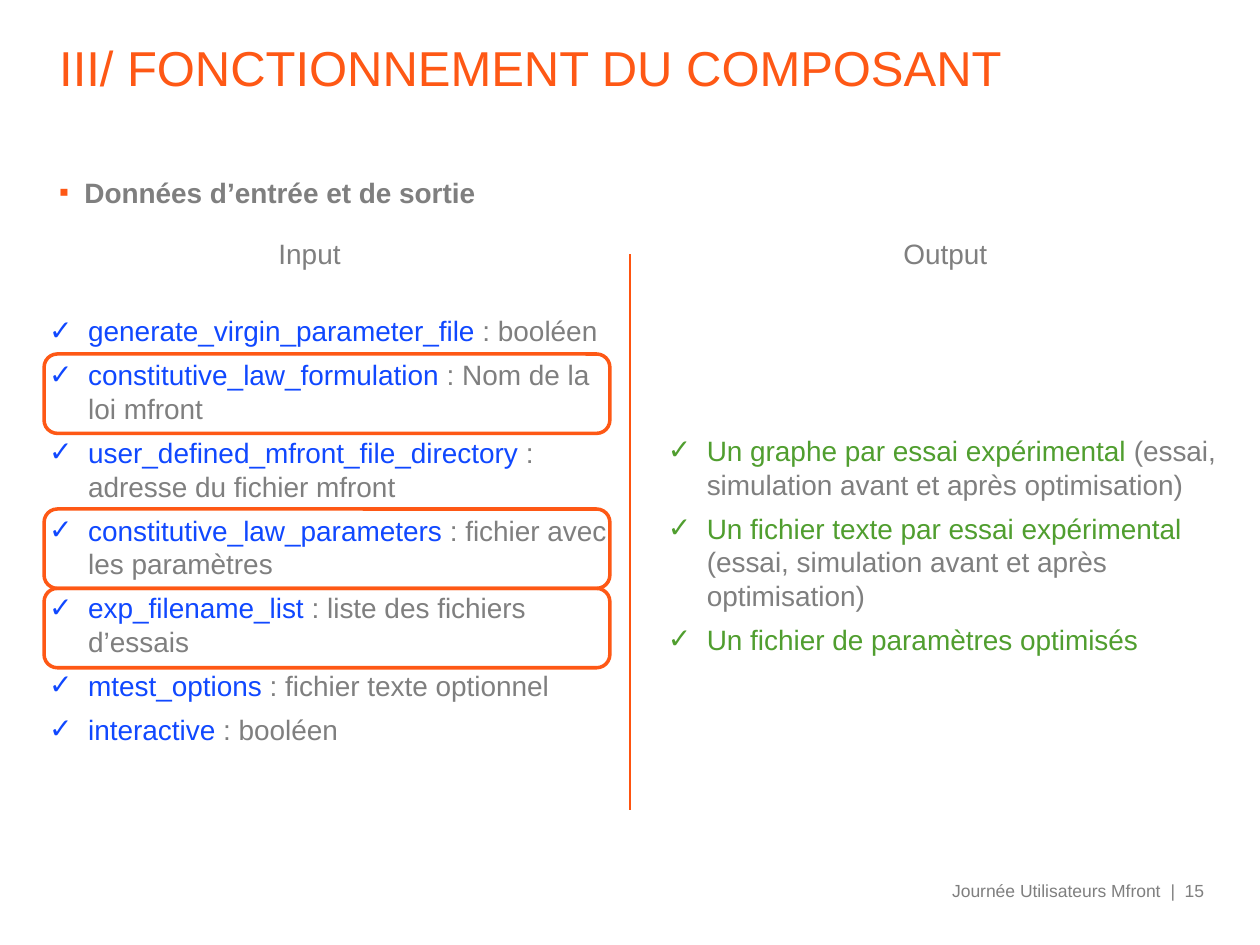
from dataclasses import dataclass

from lxml.etree import SubElement
from pptx import Presentation
from pptx.dml.color import RGBColor
from pptx.enum.shapes import MSO_CONNECTOR as Connector, MSO_SHAPE as Shape
from pptx.enum.text import MSO_ANCHOR as Anchor, MSO_AUTO_SIZE as AutoSize, PP_ALIGN as Align
from pptx.oxml.ns import qn
from pptx.util import Inches, Pt

COLORS = {
    "orange": "FE5815",
    "divider": "FE540F",
    "grey": "7F7F7F",
    "blue": "1048FF",
    "green": "509E2F",
}
FONT = "Arial"


@dataclass
class Box:
    left: float
    top: float
    width: float
    height: float

    def lengths(self) -> list:
        return [Inches(v) for v in (self.left, self.top, self.width, self.height)]


@dataclass
class Item:
    name: str
    detail: str = ""


@dataclass
class Label:
    text: str
    box: Box
    size: int = 16
    align: Align = Align.LEFT
    anchor: Anchor = Anchor.TOP


INPUTS = [
    Item("generate_virgin_parameter_file", " : booléen"),
    Item("constitutive_law_formulation", " : Nom de la loi mfront"),
    Item("user_defined_mfront_file_directory", " : adresse du fichier mfront"),
    Item("constitutive_law_parameters", " : fichier avec les paramètres"),
    Item("exp_filename_list ", ": liste des fichiers d’essais"),
    Item("mtest_options", " : fichier texte optionnel"),
    Item("interactive", " : booléen"),
]
OUTPUTS = [
    Item("Un graphe par essai expérimental ",
         "(essai, simulation avant et après optimisation)"),
    Item("Un fichier texte par essai expérimental ",
         "(essai, simulation avant et après optimisation)"),
    Item("Un fichier de paramètres optimisés"),
]
LABELS = [
    Label("Input", Box(2.17, 1.88, 0.58, 0.27)),
    Label("Output", Box(7.13, 1.88, 0.75, 0.27)),
    Label("Journée Utilisateurs Mfront", Box(5, 6.98, 4.25, 0.17), 10,
          Align.RIGHT, Anchor.MIDDLE),
    Label("|  15", Box(9.25, 6.98, 0.41, 0.17), 10, anchor=Anchor.MIDDLE),
]
HIGHLIGHT_TOPS = (2.81, 4.04, 4.67)


def rgb(color: str) -> RGBColor:
    return RGBColor.from_string(COLORS[color])


def set_frame(shape, wrap: bool = True, anchor: Anchor = Anchor.TOP):
    frame = shape.text_frame
    frame.auto_size = AutoSize.NONE
    frame.word_wrap = wrap
    frame.vertical_anchor = anchor
    frame.margin_left = frame.margin_right = Inches(0.04)
    frame.margin_top = frame.margin_bottom = 0
    return frame


def add_run(paragraph, text: str, color: str, size: int = 16, bold: bool = False) -> None:
    run = paragraph.add_run()
    run.text = text
    run.font.name = FONT
    run.font.size = Pt(size)
    run.font.bold = bold
    run.font.color.rgb = rgb(color)


def set_bullet(paragraph, char: str, color: str, indent: float) -> None:
    props = paragraph._p.get_or_add_pPr()
    props.set("marL", str(Inches(indent)))
    props.set("indent", str(-Inches(indent)))
    bullet_color = SubElement(props, qn("a:buClr"))
    SubElement(bullet_color, qn("a:srgbClr"), val=COLORS[color])
    SubElement(props, qn("a:buFont"), typeface=FONT)
    SubElement(props, qn("a:buChar"), char=char)


def add_label(slide, label: Label) -> None:
    frame = set_frame(slide.shapes.add_textbox(*label.box.lengths()), False, label.anchor)
    paragraph = frame.paragraphs[0]
    paragraph.alignment = label.align
    add_run(paragraph, label.text, "grey", label.size)


def add_checklist(slide, box: Box, items: list[Item], color: str) -> None:
    frame = set_frame(slide.shapes.add_textbox(*box.lengths()))
    for index, item in enumerate(items):
        paragraph = frame.add_paragraph() if index else frame.paragraphs[0]
        paragraph.space_after = Pt(6)
        set_bullet(paragraph, "✓", color, 0.31)
        add_run(paragraph, item.name, color)
        if item.detail:
            add_run(paragraph, item.detail, "grey")


def add_highlight(slide, top: float) -> None:
    outline = slide.shapes.add_shape(Shape.ROUNDED_RECTANGLE,
                                     *Box(0.35, top, 4.49, 0.63).lengths())
    outline.shadow.inherit = False
    outline.fill.background()
    outline.line.color.rgb = rgb("orange")
    outline.line.width = Pt(2)


def main() -> None:
    deck = Presentation()
    deck.slide_width, deck.slide_height = Inches(10), Inches(7.5)
    slide = deck.slides.add_slide(deck.slide_layouts[5])

    # Title
    title = slide.shapes.title
    title.left, title.top, title.width, title.height = Box(0.43, 0.3, 9.14, 0.93).lengths()
    heading = set_frame(title).paragraphs[0]
    heading.alignment = Align.LEFT
    add_run(heading, "III/ FONCTIONNEMENT DU COMPOSANT", "orange", 28)

    # Section heading
    section_box = slide.shapes.add_textbox(*Box(0.43, 1.39, 9.29, 0.3).lengths())
    section = set_frame(section_box).paragraphs[0]
    set_bullet(section, "▪", "orange", 0.2)
    add_run(section, "Données d’entrée et de sortie", "grey", bold=True)

    # Divider between the two columns
    divider = slide.shapes.add_connector(Connector.STRAIGHT, Inches(5), Inches(2.02),
                                         Inches(5), Inches(6.43))
    divider.line.color.rgb = rgb("divider")
    divider.line.width = Pt(0.75)
    SubElement(divider._element.spPr, qn("a:effectLst"))

    # Column headings and footer
    for label in LABELS:
        add_label(slide, label)

    # Input and output lists
    add_checklist(slide, Box(0.35, 2.49, 4.57, 3.47), INPUTS, "blue")
    add_checklist(slide, Box(5.26, 3.44, 4.57, 1.78), OUTPUTS, "green")

    # Frames around the key inputs
    for top in HIGHLIGHT_TOPS:
        add_highlight(slide, top)

    deck.save("out.pptx")


if __name__ == "__main__":
    main()
